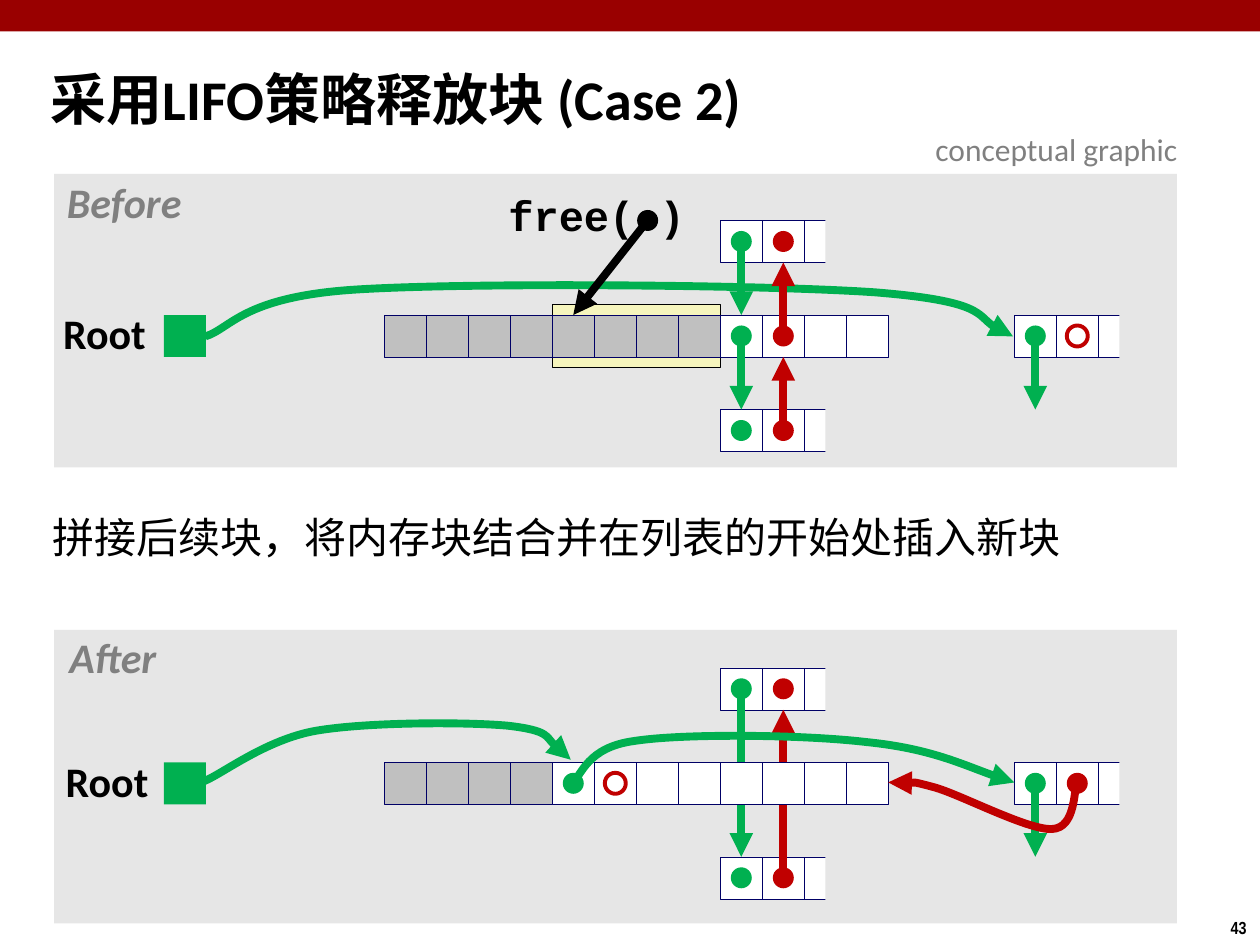
from lxml.etree import SubElement
from pptx import Presentation
from pptx.dml.color import RGBColor
from pptx.enum.shapes import MSO_CONNECTOR, MSO_SHAPE
from pptx.enum.text import MSO_ANCHOR, MSO_AUTO_SIZE, PP_ALIGN
from pptx.oxml.ns import qn
from pptx.util import Inches, Pt

BLACK = RGBColor(0x00, 0x00, 0x00)
WHITE = RGBColor(0xFF, 0xFF, 0xFF)
CRIMSON = RGBColor(0x99, 0x00, 0x00)
GREEN = RGBColor(0x00, 0xB0, 0x50)
RED = RGBColor(0xC0, 0x00, 0x00)
NAVY = RGBColor(0x00, 0x00, 0x66)
PANEL = RGBColor(0xE6, 0xE6, 0xE6)
USED = RGBColor(0xC0, 0xC0, 0xC0)
CREAM = RGBColor(0xF6, 0xF5, 0xBD)
GRAY = RGBColor(0x80, 0x80, 0x80)

CELL = 1 / 3
HEAP_LEFT = 3.05
NEIGHBOR_GAP = 0.75
NEXT, PREVIOUS, LIST_HEAD = 8, 9, 15
TOP, BOTTOM = 0, 2


def column(index):
    """Return the left edge of a heap column."""
    return HEAP_LEFT + index * CELL


def center(index, top):
    """Return the middle point of a heap cell."""
    return column(index) + CELL / 2, top + CELL / 2


class HeapSlide:
    """Holds the style and the current slide, and draws each kind of element."""

    label = {"name": "Calibri", "size": Pt(24), "bold": True, "italic": False}
    caption = {**label, "italic": True}
    code = {**label, "name": "Courier New"}
    heading = {**label, "size": Pt(32)}
    body = {**label, "bold": False}
    note = {**body, "size": Pt(18)}
    number = {**label, "name": "Arial Narrow", "size": Pt(10)}
    arrow_width = Pt(4.5)

    def __init__(self, presentation):
        self.slide = presentation.slides.add_slide(presentation.slide_layouts[1])
        self.shapes = self.slide.shapes

    def shape(self, kind, box, fill=None, line=None, width=0.25):
        shape = self.shapes.add_shape(kind, *map(Inches, box))
        shape.shadow.inherit = False
        if fill is None:
            shape.fill.background()
        else:
            shape.fill.solid()
            shape.fill.fore_color.rgb = fill
        if line is None:
            shape.line.fill.background()
        else:
            shape.line.color.rgb = line
            shape.line.width = Pt(width)
        return shape

    def rectangle(self, box, fill, line=None, width=0.25):
        return self.shape(MSO_SHAPE.RECTANGLE, box, fill, line, width)

    def dot(self, point, fill=None, line=None):
        size = CELL / 2
        box = (point[0] - size / 2, point[1] - size / 2, size, size)
        self.shape(MSO_SHAPE.OVAL, box, fill, line, 2.25)

    def cells(self, first, top, fills):
        return [
            self.rectangle((column(first + offset), top, CELL, CELL), fill, NAVY)
            for offset, fill in enumerate(fills)
        ]

    def fragment(self, first, top):
        cells = self.cells(first, top, [WHITE] * 3)
        self.rectangle((column(first + 2.5), top - CELL / 4, CELL, CELL * 1.5), PANEL)
        return cells

    def neighbor(self, top):
        cells = self.fragment(NEXT, top)
        self.dot(center(NEXT, top), GREEN)
        self.dot(center(PREVIOUS, top), RED)
        return cells

    def finish_arrow(self, shape, color):
        shape.line.color.rgb = color
        shape.line.width = self.arrow_width
        properties = shape._element.spPr
        SubElement(properties.find(qn("a:ln")), qn("a:tailEnd"), type="triangle")
        return properties

    def arrow(self, start, end, color, target=None, side=TOP):
        connector = self.shapes.add_connector(
            MSO_CONNECTOR.STRAIGHT, *map(Inches, (*start, *end))
        )
        if target is not None:
            connector.end_connect(target, side)
        SubElement(self.finish_arrow(connector, color), qn("a:effectLst"))

    def curve(self, points, color):
        start, *rest = [(Inches(x), Inches(y)) for x, y in points]
        builder = self.shapes.build_freeform(*start)
        builder.add_line_segments(rest, close=False)
        shape = builder.convert_to_shape()
        shape.shadow.inherit = False
        shape.fill.background()
        outline = next(self.finish_arrow(shape, color).iter(qn("a:path")))
        segments = outline.findall(qn("a:lnTo"))
        for first in range(0, len(segments), 3):
            bezier = SubElement(outline, qn("a:cubicBezTo"))
            for segment in segments[first:first + 3]:
                bezier.append(segment[0])
                outline.remove(segment)

    def set_text(self, frame, text, style, color, align, spacing):
        paragraph = frame.paragraphs[0]
        paragraph.text = text
        layout = {"alignment": align, "line_spacing": spacing, "space_before": Pt(0)}
        for name, value in layout.items():
            setattr(paragraph, name, value)
        for name, value in style.items():
            setattr(paragraph.runs[0].font, name, value)
        paragraph.runs[0].font.color.rgb = color

    def text(self, box, text, style, color=BLACK, margin=0.05, spacing=0.9):
        frame = self.shapes.add_textbox(*map(Inches, box)).text_frame
        frame.word_wrap = False
        frame.auto_size = MSO_AUTO_SIZE.SHAPE_TO_FIT_TEXT
        frame.margin_left = frame.margin_right = Inches(margin)
        self.set_text(frame, text, style, color, PP_ALIGN.CENTER, spacing)

    def placeholder(self, index, box, text, style, anchor, spacing):
        shape = self.slide.placeholders[index]
        for name, value in zip(("left", "top", "width", "height"), box):
            setattr(shape, name, Inches(value))
        frame = shape.text_frame
        frame.auto_size = MSO_AUTO_SIZE.NONE
        frame.vertical_anchor = anchor
        properties = frame.paragraphs[0]._p.get_or_add_pPr()
        properties.set("marL", "0")
        properties.set("indent", "0")
        SubElement(properties, qn("a:buNone"))
        self.set_text(frame, text, style, BLACK, PP_ALIGN.LEFT, spacing)

    def panel(self, top):
        self.rectangle((0.43, top, 8.91, 2.33), PANEL)

    def root(self, left, top):
        self.rectangle((1.3, top, CELL, CELL), GREEN)
        self.text((left, top - 0.06, 0.76, 0.47), "Root", self.label)

    def list_head(self, top):
        self.fragment(LIST_HEAD, top)
        start = center(LIST_HEAD, top)
        self.dot(start, GREEN)
        self.arrow(start, (start[0], top + NEIGHBOR_GAP), GREEN)

    def before(self, top):
        self.panel(1.38)
        self.rectangle((column(4), top - CELL / 4, CELL * 4, CELL * 1.5), CREAM, BLACK, 0.75)
        self.curve([(1.63, 2.67), (1.83, 2.61), (1.92, 2.36), (2.8, 2.3),
                    (3.69, 2.24), (6.06, 2.26), (6.94, 2.32),
                    (7.81, 2.39), (7.81, 2.6), (8.04, 2.67)], GREEN)
        heap = self.cells(0, top, [USED] * 8 + [WHITE] * 4)
        above = self.neighbor(top - NEIGHBOR_GAP)
        below = self.neighbor(top + NEIGHBOR_GAP)
        self.dot(center(NEXT, top), GREEN)
        self.dot(center(PREVIOUS, top), RED)
        for row, down, up in ((top, below[0], above[1]),
                              (top - NEIGHBOR_GAP, heap[NEXT], None),
                              (top + NEIGHBOR_GAP, None, heap[PREVIOUS])):
            if down is not None:
                start = center(NEXT, row)
                self.arrow(start, (start[0], row + NEIGHBOR_GAP), GREEN, down, TOP)
            if up is not None:
                start = center(PREVIOUS, row)
                self.arrow(start, (start[0], row - NEIGHBOR_GAP + CELL), RED, up, BOTTOM)
        self.list_head(top)
        self.dot(center(LIST_HEAD + 1, top), line=RED)
        self.text((3.98, 1.5, 1.51, 0.47), "free( )", self.code)
        self.dot((5.14, 1.75), BLACK)
        self.arrow((5.14, 1.75), (4.55, top), BLACK, heap[4], TOP)
        self.root(0.45, top)
        self.text((0.47, 1.4, 1.03, 0.47), "Before", self.caption, GRAY)

    def after(self, top):
        self.panel(5)
        above = self.neighbor(top - NEIGHBOR_GAP)
        below = self.neighbor(top + NEIGHBOR_GAP)
        start = center(NEXT, top - NEIGHBOR_GAP)
        self.arrow(start, (start[0], top + NEIGHBOR_GAP), GREEN, below[0], TOP)
        start = center(PREVIOUS, top + NEIGHBOR_GAP)
        self.arrow(start, (start[0], top - NEIGHBOR_GAP + CELL), RED, above[1], BOTTOM)
        self.cells(0, top, [USED] * 4 + [WHITE] * 8)
        self.dot(center(4, top), GREEN)
        self.dot(center(5, top), line=RED)
        self.list_head(top)
        self.dot(center(LIST_HEAD + 1, top), RED)
        self.curve([(4.54, 6.21), (4.62, 6.16), (4.65, 5.93), (5.04, 5.88),
                    (5.43, 5.82), (6.38, 5.83), (6.88, 5.89),
                    (7.38, 5.94), (7.81, 6.14), (8.05, 6.21)], GREEN)
        self.curve([(8.55, 6.21), (8.52, 6.27), (8.54, 6.57), (8.35, 6.58),
                    (8.16, 6.59), (7.63, 6.31), (7.42, 6.25),
                    (7.2, 6.19), (7.13, 6.22), (7.05, 6.21)], RED)
        self.root(0.47, top)
        self.text((0.49, 5.01, 0.81, 0.47), "After", self.caption, GRAY)
        self.curve([(1.62, 6.2), (1.77, 6.14), (2.11, 5.87), (2.51, 5.8),
                    (2.92, 5.73), (3.7, 5.73), (4.03, 5.76),
                    (4.37, 5.8), (4.43, 5.97), (4.53, 6.03)], GREEN)


def main():
    """Build the slide and save it."""
    presentation = Presentation()
    presentation.slide_width, presentation.slide_height = Inches(10), Inches(7.5)
    page = HeapSlide(presentation)
    page.rectangle((0, 0, 10, 0.25), CRIMSON)
    page.text((9.66, 7.23, 0.34, 0.27), "43", page.number, margin=0.1, spacing=1.0)
    page.placeholder(0, (0.3, 0.39, 9.53, 0.86), "采用LIFO策略释放块 (Case 2)",
                     page.heading, MSO_ANCHOR.MIDDLE, 0.87)
    page.placeholder(1, (0.32, 4.04, 9.09, 0.86), "拼接后续块，将内存块结合并在列表的开始处插入新块",
                     page.body, MSO_ANCHOR.TOP, 0.95)
    page.before(2.5)
    page.after(6.05)
    page.text((7.3, 0.98, 2.17, 0.4), "conceptual graphic", page.note, GRAY, 0.1, 1.0)
    presentation.save("out.pptx")


if __name__ == "__main__":
    main()
